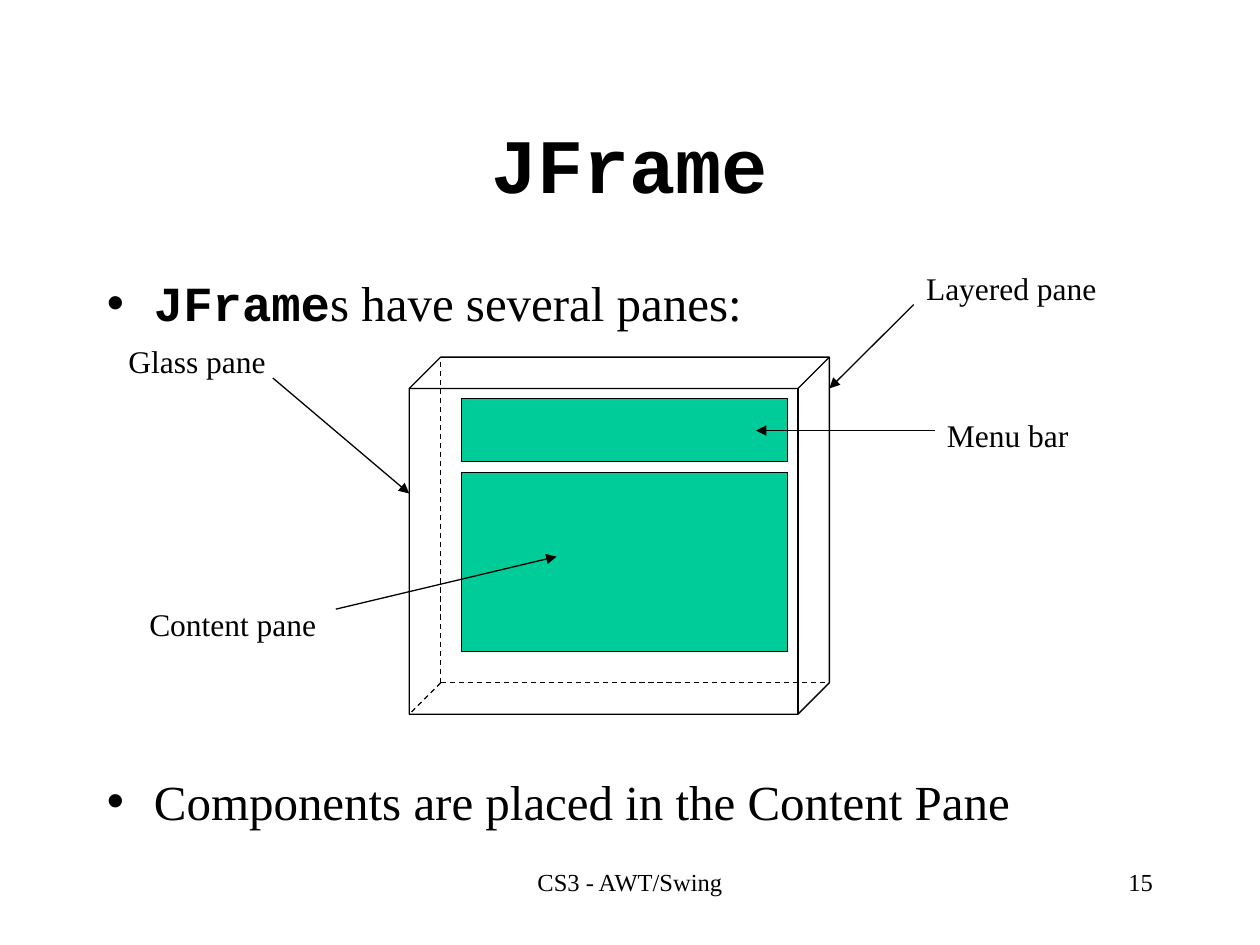
from lxml import etree
from pptx import Presentation, util as u
from pptx.dml.color import RGBColor
from pptx.enum import dml, shapes, text
from pptx.oxml.ns import qn

BLACK = RGBColor(0x00, 0x00, 0x00)
GREEN = RGBColor(0x00, 0xCC, 0x99)
SERIF = "Times New Roman"
MONO = "Courier New"


def write(paragraph, words, size, name=SERIF, bold=False):
    """Append one formatted run to the paragraph."""
    run = paragraph.add_run()
    run.text = words
    values = {"size": u.Pt(size), "name": name, "bold": bold}
    for attribute, value in values.items():
        setattr(run.font, attribute, value)
    run.font.color.rgb = BLACK


def draw_line(start, end, dashed=False):
    """Draw a dashed hidden edge, or a solid line with an arrowhead."""
    line = slide.shapes.add_connector(
        shapes.MSO_CONNECTOR.STRAIGHT, *map(u.Cm, start + end))
    line.line.color.rgb = BLACK
    line.line.width = u.Pt(0.75)
    if dashed:
        line.line.dash_style = dml.MSO_LINE.DASH
    else:
        etree.SubElement(line.line._get_or_add_ln(), qn("a:tailEnd"), type="triangle")
    etree.SubElement(line._element.spPr, qn("a:effectLst"))


presentation = Presentation()
presentation.slide_width, presentation.slide_height = u.Cm(25.4), u.Cm(19.05)
slide = presentation.slides.add_slide(presentation.slide_layouts[1])

# Title and list
title, body = slide.placeholders
frames = [
    (title, (1.9, 1.69, 21.59, 3.18), text.MSO_ANCHOR.MIDDLE),
    (body, (1.9, 5.5, 21.59, 11.43), text.MSO_ANCHOR.TOP),
]
for shape, box, anchor in frames:
    for attribute, value in zip(("left", "top", "width", "height"), box):
        setattr(shape, attribute, u.Cm(value))
    shape.text_frame.vertical_anchor = anchor
    shape.text_frame.auto_size = text.MSO_AUTO_SIZE.NONE

heading = title.text_frame.paragraphs[0]
heading.alignment = text.PP_ALIGN.CENTER
write(heading, "JFrame", 44, MONO, True)

first = body.text_frame.paragraphs[0]
write(first, "JFrame", 28, MONO, True)
write(first, "s have several panes:", 28)
last = body.text_frame.add_paragraph()
write(last, "Components are placed in the Content Pane", 28)
# The space before the last item leaves room for the diagram
for paragraph, line_spacing, space_before in [(first, 0.9, 7), (last, 1.0, 251)]:
    paragraph.line_spacing = line_spacing
    paragraph.space_before = u.Pt(space_before)
    properties = paragraph._p.get_or_add_pPr()
    properties.set("marL", str(u.Cm(0.95)))
    properties.set("indent", str(u.Cm(-0.95)))
    etree.SubElement(properties, qn("a:buChar"), char="•")

# Frame with its hidden edges, menu bar and content pane
left, top, width, height, depth = 8.25, 7.2, 8.47, 7.2, 0.635
right, bottom = left + width, top + height
panes = [
    (shapes.MSO_SHAPE.CUBE, (left, top, width, height), None),
    (shapes.MSO_SHAPE.RECTANGLE, (9.31, 8.04, 6.56, 1.27), GREEN),
    (shapes.MSO_SHAPE.RECTANGLE, (9.31, 9.53, 6.56, 3.6), GREEN),
]
back_corner = (left + depth, bottom - depth)
hidden_ends = [(left + depth, top), (right, bottom - depth), (left, bottom)]

for kind, box, color in panes:
    shape = slide.shapes.add_shape(kind, *map(u.Cm, box))
    shape.shadow.inherit = False
    shape.line.color.rgb = BLACK
    shape.line.width = u.Pt(0.75)
    if color is None:
        shape.adjustments[0] = depth / height
        shape.fill.background()
        for end in hidden_ends:
            draw_line(back_corner, end, dashed=True)
    else:
        shape.fill.solid()
        shape.fill.fore_color.rgb = color

# Labels and their arrows
labels = [
    ("Glass pane", (2.34, 6.77, 3.3), (5.5, 7.62), (left, 9.95)),
    ("Layered pane", (18.42, 5.29, 3.96), (18.42, 6.14), (right, 7.83)),
    ("Menu bar", (18.84, 8.26, 3), (18.84, 8.68), (15.24, 8.68)),
    ("Content pane", (2.76, 12.07, 3.9), (6.77, 12.28), (11.22, 11.22)),
]
for words, box, start, end in labels:
    label = slide.shapes.add_textbox(*map(u.Cm, box + (1.02,)))
    label.text_frame.word_wrap = False
    label.text_frame.auto_size = text.MSO_AUTO_SIZE.SHAPE_TO_FIT_TEXT
    write(label.text_frame.paragraphs[0], words, 18)
    draw_line(start, end)

# Footer
footers = [
    ("CS3 - AWT/Swing", 8.68, 8.04, text.PP_ALIGN.CENTER),
    ("15", 18.2, 5.29, text.PP_ALIGN.RIGHT),
]
for words, footer_left, footer_width, alignment in footers:
    footer = slide.shapes.add_textbox(
        *map(u.Cm, (footer_left, 17.36, footer_width, 1.27)))
    footer.text_frame.word_wrap = True
    paragraph = footer.text_frame.paragraphs[0]
    paragraph.alignment = alignment
    write(paragraph, words, 14)

presentation.save("out.pptx")
